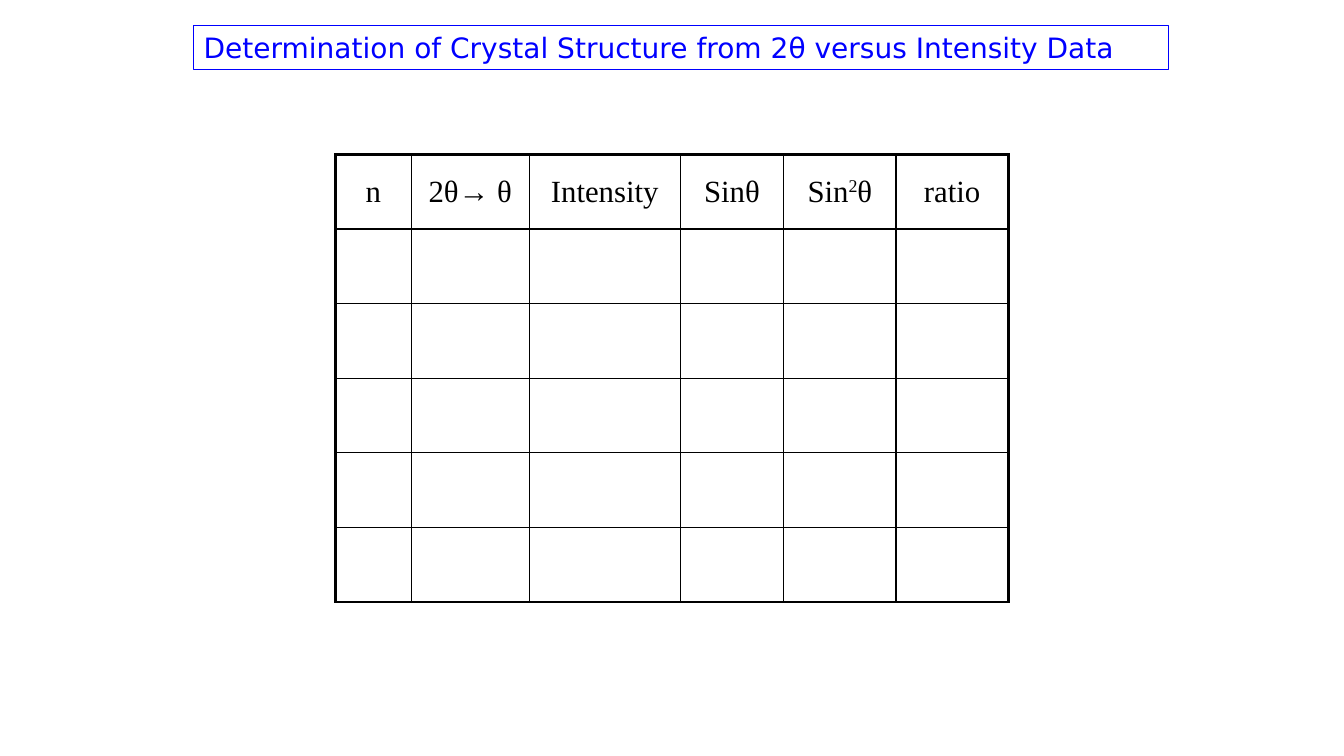
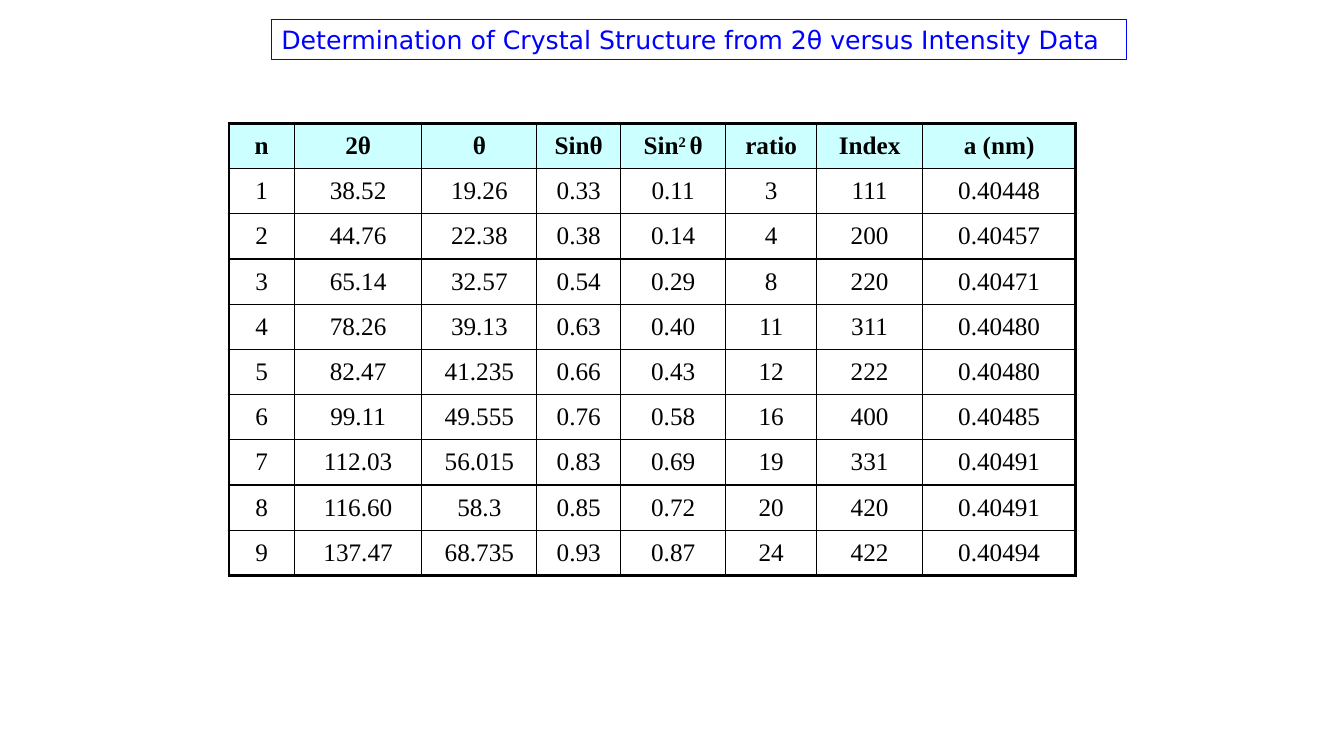
from lxml import etree
from pptx import Presentation
from pptx import util as u
from pptx.dml.color import RGBColor
from pptx.enum import shapes, text
from pptx.oxml.ns import qn

COLORS = {"ink": "000000", "title": "0000FF", "paper": "FFFFFF", "header": "CCFFFF"}
TITLE = "Determination of Crystal Structure from 2θ versus Intensity Data"
TITLE_FONT, TABLE_FONT = "DejaVu Sans", "Times New Roman"
INNER, OUTER = 1, 2.25


def write(tf, content, *, size, font, color, bold=False, align=text.PP_ALIGN.LEFT):
    p = tf.paragraphs[0]
    p.alignment = align
    for i, part in enumerate(content.split("^")):
        r = p.add_run()
        r.text = part
        r.font.size = u.Pt(size)
        r.font.name = font
        r.font.bold = bold
        r.font.color.rgb = RGBColor.from_string(COLORS[color])
        if i % 2:
            r._r.get_or_add_rPr().set("baseline", "30000")


def add_border(cell, side, width):
    ln = etree.SubElement(cell._tc.get_or_add_tcPr(), qn(f"a:ln{side}"), w=str(u.Pt(width)))
    fill = etree.SubElement(ln, qn("a:solidFill"))
    etree.SubElement(fill, qn("a:srgbClr"), val=COLORS["ink"])


slides = [
    {
        "title_box": (4.88, 0.64, 24.56, 1.12),
        "title_size": 20,
        "table_at": (8.46, 3.89),
        "widths": [1.9, 2.98, 3.8, 2.61, 2.83, 2.83],
        "row_height": 1.88,
        "size": 22,
        "bold_header": False,
        "header_fill": None,
        "rows": [["n", "2θ→ θ", "Intensity", "Sinθ", "Sin^2^θ", "ratio"]] + [[""] * 6] * 5,
    },
    {
        "title_box": (6.84, 0.48, 21.54, 1.03),
        "title_size": 18,
        "table_at": (5.77, 3.11),
        "widths": [1.65, 3.21, 2.9, 2.11, 2.65, 2.29, 2.67, 3.86],
        "row_height": 1.14,
        "size": 18,
        "bold_header": True,
        "header_fill": "header",
        "rows": [
            ["n", "2θ", "θ", "Sinθ", "Sin^2 ^θ", "ratio", "Index", "a (nm)"],
            ["1", "38.52", "19.26", "0.33", "0.11", "3", "111", "0.40448"],
            ["2", "44.76", "22.38", "0.38", "0.14", "4", "200", "0.40457"],
            ["3", "65.14", "32.57", "0.54", "0.29", "8", "220", "0.40471"],
            ["4", "78.26", "39.13", "0.63", "0.40", "11", "311", "0.40480"],
            ["5", "82.47", "41.235", "0.66", "0.43", "12", "222", "0.40480"],
            ["6", "99.11", "49.555", "0.76", "0.58", "16", "400", "0.40485"],
            ["7", "112.03", "56.015", "0.83", "0.69", "19", "331", "0.40491"],
            ["8", "116.60", "58.3", "0.85", "0.72", "20", "420", "0.40491"],
            ["9", "137.47", "68.735", "0.93", "0.87", "24", "422", "0.40494"],
        ],
    },
]

prs = Presentation()
prs.slide_width, prs.slide_height = u.Cm(33.87), u.Cm(19.05)

for d in slides:
    s = prs.slides.add_slide(prs.slide_layouts[6])
    rows, widths = d["rows"], d["widths"]
    n_rows, n_cols = len(rows), len(widths)

    x, y = d["table_at"]
    frame = s.shapes.add_table(n_rows, n_cols, u.Cm(x), u.Cm(y),
                               u.Cm(sum(widths)), u.Cm(n_rows * d["row_height"]))
    table = frame.table
    table.first_row = table.horz_banding = False
    for column, width in zip(table.columns, widths):
        column.width = u.Cm(width)
    for i, row in enumerate(rows):
        table.rows[i].height = u.Cm(d["row_height"])
        for j, value in enumerate(row):
            cell = table.cell(i, j)
            cell.vertical_anchor = text.MSO_ANCHOR.MIDDLE
            edges = {"L": j == 0, "R": j == n_cols - 1, "T": i == 0, "B": i == n_rows - 1}
            for side, is_outer in edges.items():
                add_border(cell, side, OUTER if is_outer else INNER)
            if i == 0 and d["header_fill"]:
                cell.fill.solid()
                cell.fill.fore_color.rgb = RGBColor.from_string(COLORS[d["header_fill"]])
            else:
                cell.fill.background()
            if value:
                write(cell.text_frame, value, size=d["size"], font=TABLE_FONT, color="ink",
                      bold=i == 0 and d["bold_header"], align=text.PP_ALIGN.CENTER)

    sp = s.shapes.add_shape(shapes.MSO_SHAPE.RECTANGLE, *map(u.Cm, d["title_box"]))
    sp.shadow.inherit = False
    sp.fill.solid()
    sp.fill.fore_color.rgb = RGBColor.from_string(COLORS["paper"])
    sp.line.color.rgb = RGBColor.from_string(COLORS["title"])
    sp.line.width = u.Pt(0.5)
    tf = sp.text_frame
    tf.word_wrap = True
    tf.vertical_anchor = text.MSO_ANCHOR.TOP
    write(tf, TITLE, size=d["title_size"], font=TITLE_FONT, color="title")

prs.save("out.pptx")
